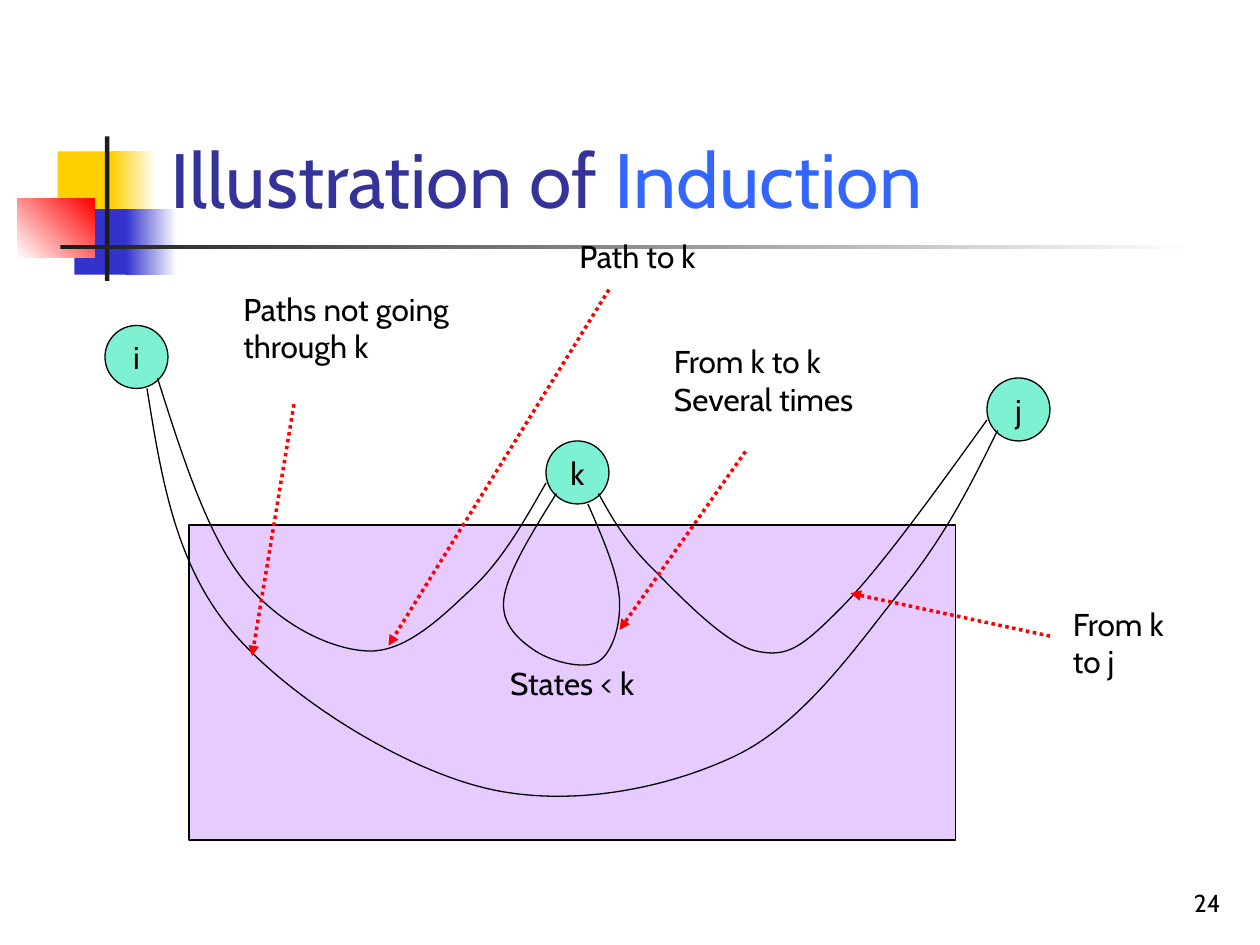
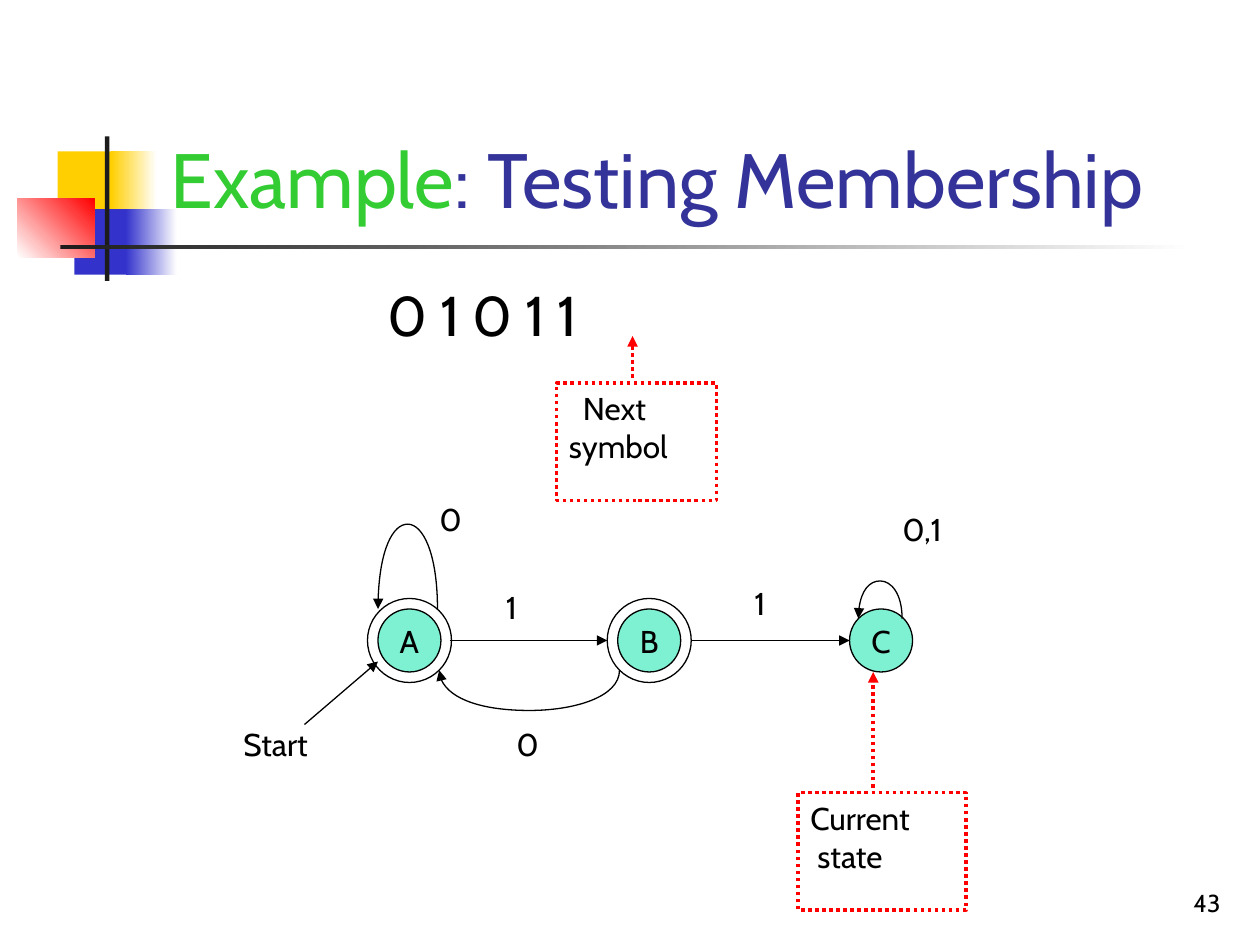
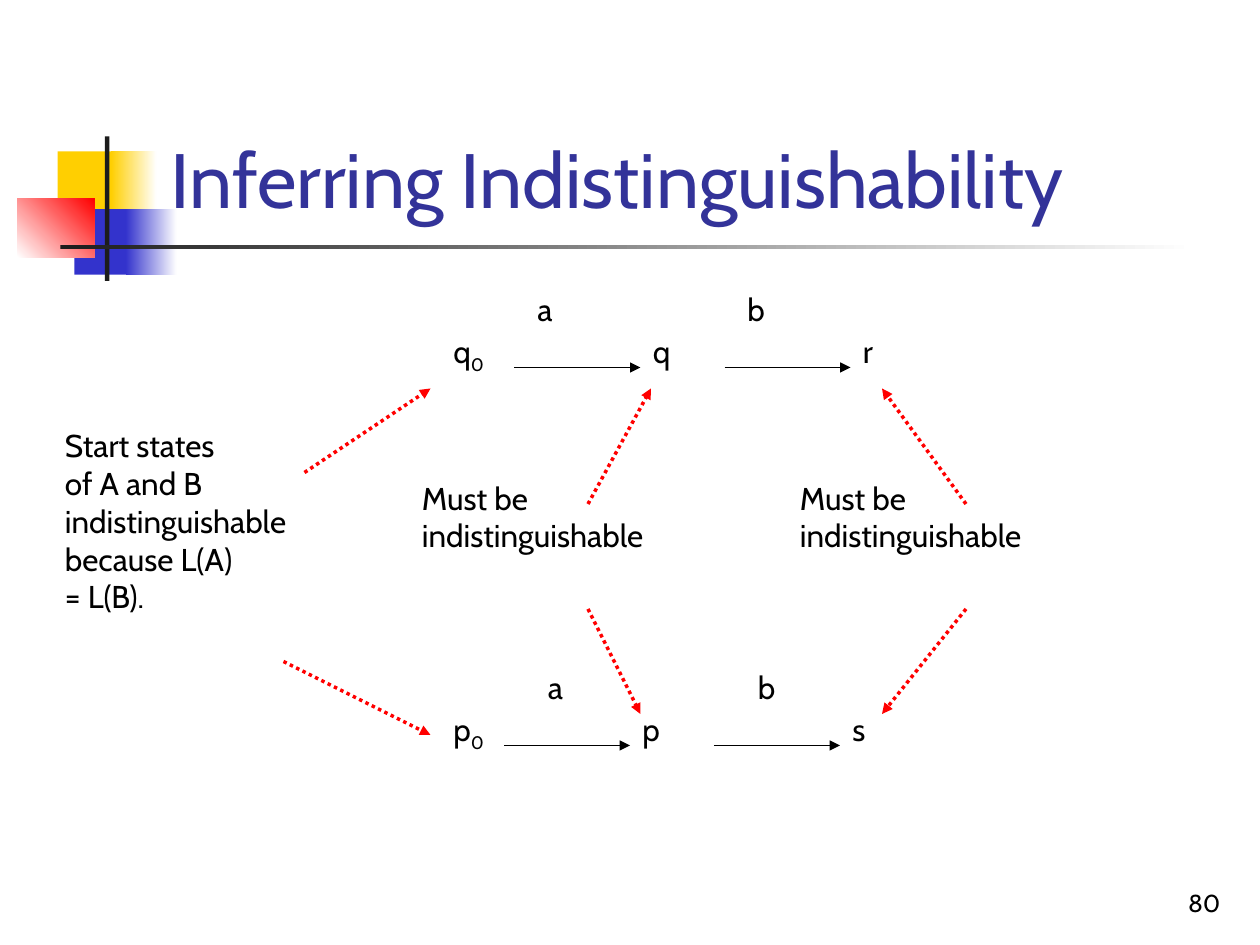
import pptx
import pptx.dml.color
import pptx.enum.dml
import pptx.enum.shapes
import pptx.enum.text
import pptx.oxml.ns
import pptx.util
import lxml.etree

Pt = pptx.util.Pt
qn = pptx.oxml.ns.qn
SHAPE = pptx.enum.shapes.MSO_SHAPE
ANCHOR = pptx.enum.text.MSO_ANCHOR
ALIGN = pptx.enum.text.PP_ALIGN

FONT = "Cabin"
BLACK, WHITE, RED = "000000", "FFFFFF", "FF0000"
GOLD, BLUE, DARK = "FFCF01", "3333CC", "1C1C1C"
NAVY, SKY, GREEN = "333399", "3366FF", "33CC33"
MINT, LILAC = "00E4A8", "CC99FF"
NODE = 36


def hue(code):
    return pptx.dml.color.RGBColor.from_string(code)


def add_run(para, text, size=18, code=BLACK, sub=False):
    run = para.add_run()
    run.text = text
    run.font.name = FONT
    run.font.size = Pt(size)
    run.font.color.rgb = hue(code)
    if sub:
        run._r.get_or_add_rPr().set("baseline", "-25000")


def add_box(slide, left, top, width, height, anchor=ANCHOR.TOP):
    box = slide.shapes.add_textbox(Pt(left), Pt(top), Pt(width), Pt(height))
    box.text_frame.word_wrap = True
    box.text_frame.vertical_anchor = anchor
    return box.text_frame


def fill_lines(frame, lines, size=18):
    for index, line in enumerate(lines):
        para = frame.add_paragraph() if index else frame.paragraphs[0]
        add_run(para, line, size)


def label(slide, left, top, width, *lines, size=18):
    height = size * 2 + 28.8 * (len(lines) - 1)
    frame = add_box(slide, left, top, width, height)
    fill_lines(frame, lines, size)
    return frame


def stroke(line, code=BLACK, dots=False, arrow=False):
    line.color.rgb = hue(code)
    line.width = Pt(2 if dots else 0.75)
    if dots:
        line.dash_style = pptx.enum.dml.MSO_LINE.ROUND_DOT
    if arrow:
        tip = lxml.etree.SubElement(line._get_or_add_ln(), qn("a:tailEnd"))
        tip.set("type", "triangle")


def shape(slide, kind, left, top, width, height, fill=None, clear=False):
    item = slide.shapes.add_shape(kind, Pt(left), Pt(top), Pt(width), Pt(height))
    item.shadow.inherit = False
    if fill is None:
        item.fill.background()
    else:
        item.fill.solid()
        item.fill.fore_color.rgb = hue(fill)
    if clear:
        tint = item._element.spPr.find(".//" + qn("a:srgbClr"))
        lxml.etree.SubElement(tint, qn("a:alpha")).set("val", "50000")
    return item


def named(slide, kind, left, top, width, height, fill, text):
    item = shape(slide, kind, left, top, width, height, fill, True)
    stroke(item.line)
    frame = item.text_frame
    frame.word_wrap = False
    frame.vertical_anchor = ANCHOR.MIDDLE
    frame.paragraphs[0].alignment = ALIGN.CENTER
    add_run(frame.paragraphs[0], text)


def node(slide, left, top, text):
    named(slide, SHAPE.OVAL, left, top, NODE, NODE, MINT, text)


def ring(slide, left, top):
    stroke(shape(slide, SHAPE.OVAL, left - 6, top - 6, NODE + 12, NODE + 12).line)


def note(slide, left, top, width, lines, indents):
    item = shape(slide, SHAPE.RECTANGLE, left, top, width, 67)
    stroke(item.line, RED, dots=True)
    frame = item.text_frame
    frame.word_wrap = True
    frame.vertical_anchor = ANCHOR.TOP
    fill_lines(frame, lines)
    for para, indent in zip(frame.paragraphs, indents):
        para.alignment = ALIGN.LEFT
        para._p.get_or_add_pPr().set("marL", str(Pt(indent)))


def arrow(slide, start, end, code=BLACK):
    kind = pptx.enum.shapes.MSO_CONNECTOR.STRAIGHT
    item = slide.shapes.add_connector(kind, *map(Pt, start + end))
    stroke(item.line, code, dots=code == RED, arrow=True)
    lxml.etree.SubElement(item._element.spPr, qn("a:effectLst"))


def curve(slide, points, tip=False):
    spots = [(Pt(x), Pt(y)) for x, y in points]
    maker = slide.shapes.build_freeform(*spots[0])
    maker.add_line_segments(spots[1:], close=False)
    item = maker.convert_to_shape()
    item.shadow.inherit = False
    item.fill.background()
    stroke(item.line, arrow=tip)
    track = item._element.spPr.find(".//" + qn("a:path"))
    steps = track.findall(qn("a:lnTo"))
    for first in range(0, len(steps), 3):
        bend = lxml.etree.SubElement(track, qn("a:cubicBezTo"))
        for step in steps[first:first + 3]:
            bend.append(step[0])
            track.remove(step)


def middle(one, two):
    return (one[0] + two[0]) / 2, (one[1] + two[1]) / 2


def smooth(slide, *knots):
    before, after = {}, {}
    for i in range(1, len(knots) - 1):
        (x0, y0), (x, y), (x2, y2) = knots[i - 1:i + 2]
        dx, dy = (x2 - x0) / 6, (y2 - y0) / 6
        before[i], after[i] = (x - dx, y - dy), (x + dx, y + dy)
    last = len(knots) - 1
    after[0] = middle(knots[0], before[1])
    before[last] = middle(after[last - 1], knots[last])
    points = [knots[0]]
    for i in range(last):
        points += [after[i], before[i + 1], knots[i + 1]]
    curve(slide, points)


def loop(slide, start, end, y, peak):
    side = y + (peak - y) * 2 / 3
    part = (end - start) / 4
    curve(slide, [(start, y), (start, side), (start + part, peak),
                  (start + 2 * part, peak), (end - part, peak),
                  (end, side), (end, y)], tip=True)


def block(slide, left, top, width, height, code, fade=None, angle=0):
    item = shape(slide, SHAPE.RECTANGLE, left, top, width, height, code)
    item.line.fill.background()
    if fade:
        item.fill.gradient()
        item.fill.gradient_angle = angle
        for stop, tone in zip(item.fill.gradient_stops, (code, fade)):
            stop.color.rgb = hue(tone)


def start_slide(deck, number, *title):
    slide = deck.slides.add_slide(deck.slide_layouts[6])
    block(slide, 33, 86.5, 34.5, 37.5, GOLD)
    block(slide, 63.5, 86.5, 26, 37.5, GOLD, WHITE)
    block(slide, 42.5, 119.5, 33, 37.5, BLUE)
    block(slide, 72, 119.5, 29, 37.5, BLUE, WHITE)
    block(slide, 10, 113.5, 44, 33.5, WHITE, RED, 45)
    block(slide, 60, 78, 2.5, 82.5, DARK)
    block(slide, 34.5, 140, 648, 2.5, DARK, WHITE)
    head = add_box(slide, 90.5, 16.5, 613.5, 115, ANCHOR.BOTTOM)
    for text, code in title:
        add_run(head.paragraphs[0], text, 44, code)
    foot = add_box(slide, 554.5, 492, 150, 36, ANCHOR.BOTTOM)
    foot.paragraphs[0].alignment = ALIGN.RIGHT
    add_run(foot.paragraphs[0], number, 14)
    return slide


def draw_paths(deck):
    slide = start_slide(deck, "24", ("Illustration of ", NAVY), ("Induction", SKY))
    named(slide, SHAPE.RECTANGLE, 108, 300, 438, 180, LILAC, "States < k")
    for left, top, text in ((312, 252, "k"), (60, 186, "i"), (564, 216, "j")):
        node(slide, left, top, text)
    smooth(slide, (84, 222), (132, 360), (276, 450), (420, 432), (516, 336), (570, 246))
    smooth(slide, (90, 216), (138, 330), (210, 372), (270, 336), (312, 276))
    smooth(slide, (318, 282), (288, 342), (306, 372), (342, 378), (354, 342), (336, 288))
    smooth(slide, (342, 282), (372, 324), (432, 372), (480, 348), (564, 240))
    label(slide, 132, 162, 180, "Paths not going", "through k")
    arrow(slide, (168, 231), (144, 375), RED)
    label(slide, 606, 342, 88.5, "From k", "to j")
    arrow(slide, (600, 363.5), (486, 339), RED)
    label(slide, 378, 192, 156, "From k to k", "Several times")
    arrow(slide, (426, 258), (354, 360), RED)
    label(slide, 324, 132, 109.5, "Path to k")
    arrow(slide, (348, 165.5), (222, 369), RED)


def draw_states(deck):
    slide = start_slide(deck, "43", ("Example", GREEN), (": Testing Membership", NAVY))
    for left, text in ((216, "A"), (353, "B"), (485.5, "C")):
        node(slide, left, 348, text)
    for left in (216, 353):
        ring(slide, left, 348)
    for left, top, width, text in (
            (132, 410.5, 65, "Start"), (282, 332.5, 27.5, "1"),
            (288, 410.5, 27.5, "0"), (424, 330, 27.5, "1"),
            (244, 282, 27.5, "0"), (508.5, 288, 48, "0,1")):
        label(slide, left, top, width, text)
    arrow(slide, (174, 414), (216, 378))
    arrow(slide, (257, 366), (347, 366))
    arrow(slide, (395, 366), (485.5, 366))
    loop(slide, 250, 216, 348, 299.5)
    loop(slide, 354, 251, 383, 406)
    loop(slide, 515.5, 490.5, 353.5, 332)
    label(slide, 214.5, 157, 142, "0 1 0 1 1", size=32)
    note(slide, 318, 219, 91.5, ("Next", "symbol"), (8, 0))
    arrow(slide, (361.5, 216), (361.5, 192), RED)
    note(slide, 456, 453, 96, ("Current", "state"), (0, 4))
    arrow(slide, (499, 450), (499, 384), RED)


def chain(slide, top, shift, first, states):
    frame = label(slide, 252, top, 36.5, first)
    add_run(frame.paragraphs[0], "0", sub=True)
    for index, (symbol, state) in enumerate(zip("ab", states)):
        left = 294 + 120 * index
        label(slide, left + 6 + shift, top - 24, 28, symbol)
        label(slide, left + 72 - shift, top, 28, state)
        arrow(slide, (left - shift, top + 24), (left + 72 - shift, top + 24))


def draw_chains(deck):
    slide = start_slide(deck, "80", ("Inferring Indistinguishability", NAVY))
    chain(slide, 186, 0, "q", "qr")
    chain(slide, 402, 6, "p", "ps")
    label(slide, 30, 240, 190, "Start states", "of A and B",
          "indistinguishable", "because L(A)", "= L(B).")
    arrow(slide, (174, 270), (246, 222), RED)
    arrow(slide, (162, 378), (246, 420), RED)
    for left, above, below in ((234, 372, 366), (450, 504, 504)):
        label(slide, left, 270, 190, "Must be", "indistinguishable")
        arrow(slide, (left + 102, 348), (below, 408), RED)
        arrow(slide, (left + 102, 288), (above, 222), RED)


def main():
    deck = pptx.Presentation()
    deck.slide_width, deck.slide_height = Pt(720), Pt(540)
    draw_paths(deck)
    draw_states(deck)
    draw_chains(deck)
    deck.save("out.pptx")


if __name__ == "__main__":
    main()
